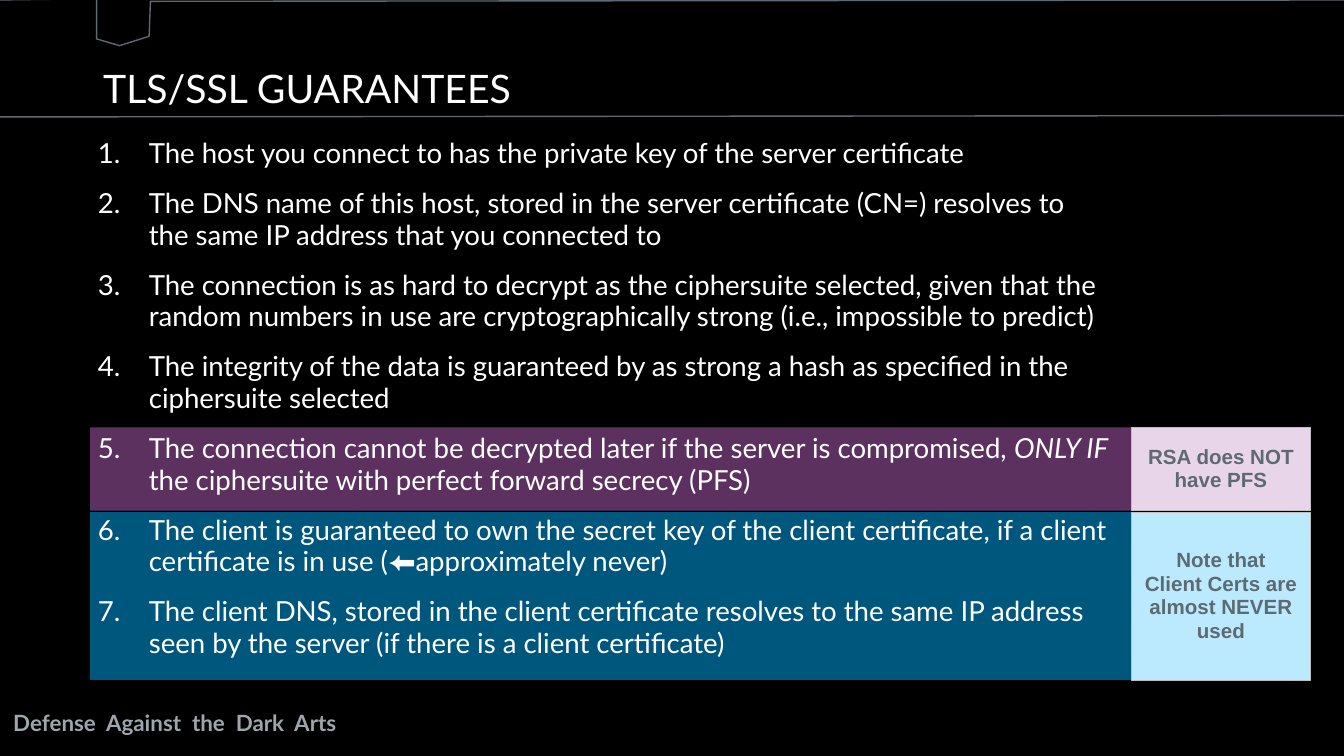
"""Build the TLS/SSL guarantees slide."""
from lxml import etree
from pptx import Presentation
from pptx.dml.color import RGBColor
from pptx.enum.shapes import MSO_SHAPE
from pptx.enum.text import MSO_ANCHOR, PP_ALIGN
from pptx.oxml.ns import qn
from pptx.util import Inches, Pt

RECTANGLE = MSO_SHAPE.RECTANGLE
TOP, MIDDLE = MSO_ANCHOR.TOP, MSO_ANCHOR.MIDDLE
CENTER = PP_ALIGN.CENTER

BLACK = RGBColor(0x00, 0x00, 0x00)
WHITE = RGBColor(0xFF, 0xFF, 0xFF)
SLATE = RGBColor(0x5E, 0x6A, 0x71)
FOOTER_GRAY = RGBColor(0x9C, 0xA6, 0xAC)
BORDER_GRAY = RGBColor(0xBF, 0xBF, 0xBF)
PURPLE = RGBColor(0x5C, 0x31, 0x60)
LILAC = RGBColor(0xE8, 0xD5, 0xEA)
BLUE = RGBColor(0x00, 0x57, 0x7E)
PALE_BLUE = RGBColor(0xBB, 0xEA, 0xFF)

TITLE = "TLS/SSL GUARANTEES"
FOOTER = "Defense  Against  the  Dark  Arts"
EMPHASIS = "ONLY IF "
GUARANTEES = [
    "The host you connect to has the private key of the server certificate",
    "The DNS name of this host, stored in the server certificate (CN=) resolves to "
    "the same IP address that you connected to",
    "The connection is as hard to decrypt as the ciphersuite selected, given that the "
    "random numbers in use are cryptographically strong (i.e., impossible to predict)",
    "The integrity of the data is guaranteed by as strong a hash as specified in the "
    "ciphersuite selected",
    "The connection cannot be decrypted later if the server is compromised, ONLY IF "
    "the ciphersuite with perfect forward secrecy (PFS)",
    "The client is guaranteed to own the secret key of the client certificate, "
    "if a client certificate is in use (⬅approximately never)",
    "The client DNS, stored in the client certificate resolves to the same IP address "
    "seen by the server (if there is a client certificate)",
]
BANDS = [
    (3.18, 0.62, PURPLE, LILAC, ["RSA does NOT have PFS"]),
    (3.81, 1.25, BLUE, PALE_BLUE, ["Note that", "Client Certs are almost NEVER used"]),
]
BAND_LEFT, BAND_WIDTH, NOTE_WIDTH = 0.67, 9.08, 1.33
HEADER_OUTLINE = [(72, -1), (72, 29), (89, 34), (111, 27), (112, 1),
                  (1001, 0), (1001, 86), (-2, 87), (-2, 0)]


def style_runs(paragraph, size, color, font="Lato", bold=False):
    for run in paragraph.runs:
        run.font.name = font
        run.font.size = Pt(size)
        run.font.color.rgb = color
        run.font.bold = bold


def add_text(slide, box, lines, size, color, bold=False, anchor=TOP):
    frame = slide.shapes.add_textbox(*map(Inches, box)).text_frame
    frame.word_wrap = True
    frame.vertical_anchor = anchor
    frame.text = "\n".join(lines)
    for paragraph in frame.paragraphs:
        paragraph.line_spacing = 0.95
        style_runs(paragraph, size, color, bold=bold)
    return frame


def add_rectangle(slide, left, top, width, height, fill):
    rectangle = slide.shapes.add_shape(RECTANGLE, *map(Inches, (left, top, width, height)))
    rectangle.shadow.inherit = False
    rectangle.fill.solid()
    rectangle.fill.fore_color.rgb = fill
    rectangle.line.fill.background()
    return rectangle


def add_header(slide):
    start, *rest = HEADER_OUTLINE
    builder = slide.shapes.build_freeform(*start, scale=Inches(0.01))
    builder.add_line_segments(rest, close=True)
    header = builder.convert_to_shape()
    header.shadow.inherit = False
    header.fill.solid()
    header.fill.fore_color.rgb = BLACK
    color = header._element.spPr.find(qn("a:solidFill"))[0]
    etree.SubElement(color, qn("a:alpha"), val="50000")
    header.line.color.rgb = SLATE
    header.line.width = Pt(0.75)


def add_note(slide, top, height, fill, lines):
    left = BAND_LEFT + BAND_WIDTH - NOTE_WIDTH
    note = add_rectangle(slide, left, top, NOTE_WIDTH, height, fill)
    note.line.color.rgb = BORDER_GRAY
    note.line.width = Pt(0.25)
    frame = note.text_frame
    frame.word_wrap = True
    frame.vertical_anchor = MIDDLE
    frame.text = "\n".join(lines)
    for paragraph in frame.paragraphs:
        paragraph.alignment = CENTER
        paragraph.line_spacing = 0.95
        style_runs(paragraph, 11, SLATE, "Arial", True)


def add_guarantees(slide):
    frame = add_text(slide, (0.63, 0.98, 7.73, 4.08), GUARANTEES, 14.8, WHITE)
    for paragraph, guarantee in zip(frame.paragraphs, GUARANTEES):
        before, emphasis, after = guarantee.partition(EMPHASIS)
        if emphasis:
            paragraph.runs[0].text = before
            for part in (emphasis, after):
                run = paragraph.add_run()
                run.text = part
                run.font.italic = part == EMPHASIS
            style_runs(paragraph, 14.8, WHITE)
        paragraph.space_before = Pt(8)
        paragraph.space_after = Pt(2)
        properties = paragraph._p.get_or_add_pPr()
        properties.set("marL", str(Inches(0.38)))
        properties.set("indent", str(Inches(-0.38)))
        etree.SubElement(properties, qn("a:buFont"), typeface="+mj-lt")
        etree.SubElement(properties, qn("a:buAutoNum"), type="arabicPeriod")


def main():
    deck = Presentation()
    deck.slide_width = Inches(10)
    deck.slide_height = deck.slide_width * 9 // 16
    slide = deck.slides.add_slide(deck.slide_layouts[6])
    slide.background.fill.solid()
    slide.background.fill.fore_color.rgb = BLACK
    add_text(slide, (0, 5.24, 3.33, 0.3), [FOOTER], 12, FOOTER_GRAY, bold=True)
    add_header(slide)
    for top, height, band_color, _, _ in BANDS:
        add_rectangle(slide, BAND_LEFT, top, BAND_WIDTH, height, band_color)
    add_text(slide, (0.67, 0.36, 7.17, 0.62), [TITLE], 21, WHITE, anchor=MIDDLE)
    add_guarantees(slide)
    for top, height, _, note_color, lines in BANDS:
        add_note(slide, top, height, note_color, lines)
    deck.save("out.pptx")


if __name__ == "__main__":
    main()
